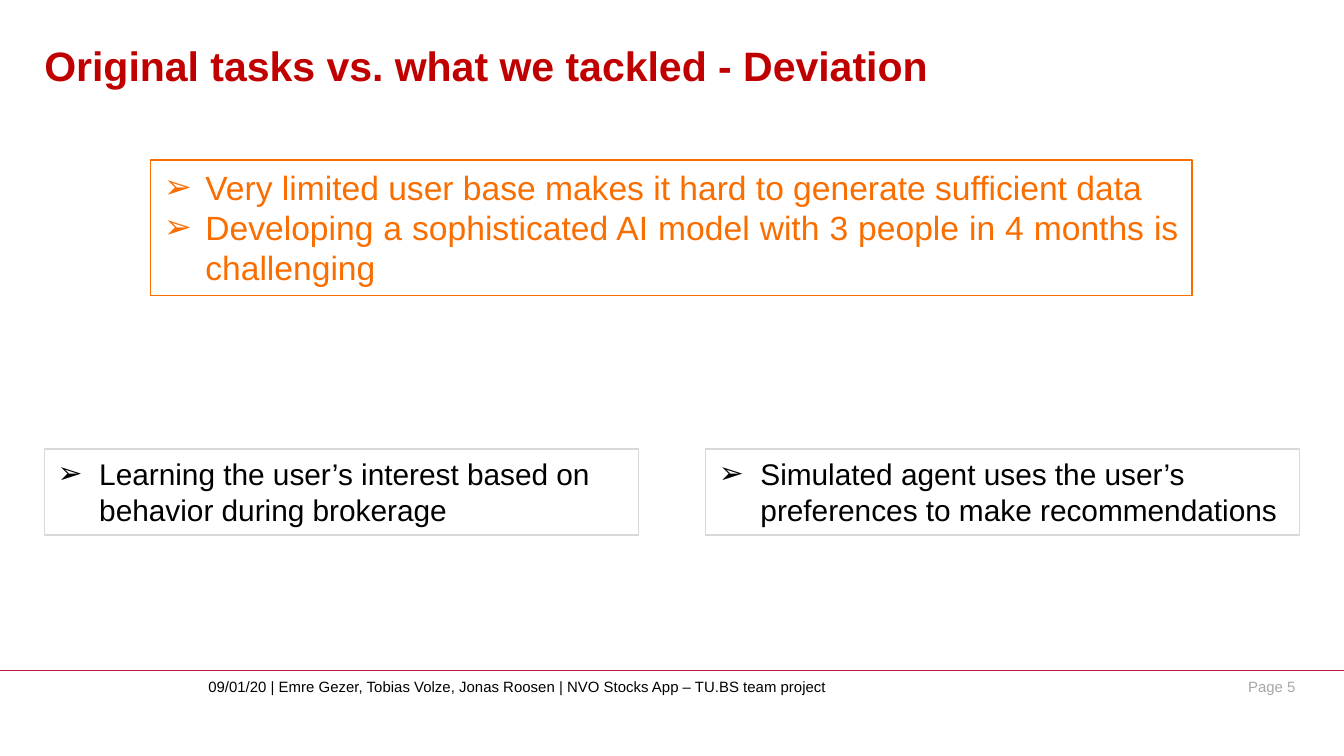
from dataclasses import dataclass

import pptx
import pptx.enum.shapes
import pptx.slide
import pptx.text.text
from lxml import etree
from pptx.dml.color import RGBColor
from pptx.enum.text import MSO_ANCHOR, PP_ALIGN
from pptx.oxml.ns import qn
from pptx.util import Inches, Pt

FONT = "Arial"
BLACK = RGBColor(0x00, 0x00, 0x00)
RED = RGBColor(0xC0, 0x00, 0x00)
CRIMSON = RGBColor(0xBE, 0x1E, 0x3C)
ORANGE = RGBColor(0xFA, 0x6E, 0x00)
GRAY = RGBColor(0xA6, 0xA6, 0xA6)
LIGHT_GRAY = RGBColor(0xD9, 0xD9, 0xD9)

SLIDE_WIDTH = Inches(10)
SLIDE_HEIGHT = SLIDE_WIDTH * 9 // 16
INDENT = Inches(0.31)


@dataclass
class Label:
    text: str
    left: float
    top: float
    width: float
    height: float
    size: float
    color: RGBColor
    bold: bool = False
    align: PP_ALIGN = PP_ALIGN.LEFT
    anchor: MSO_ANCHOR = MSO_ANCHOR.TOP


@dataclass
class BulletBox:
    items: list[str]
    left: float
    top: float
    width: float
    height: float
    size: float
    color: RGBColor
    border: RGBColor
    align: PP_ALIGN = PP_ALIGN.LEFT


LABELS = [
    Label("09/01/20 | Emre Gezer, Tobias Volze, Jonas Roosen | "
          "NVO Stocks App – TU.BS team project",
          1.55, 5.04, 4.87, 0.27, 8, BLACK),
    Label("Page 5", 8.94, 5.04, 0.7, 0.27, 8, GRAY, align=PP_ALIGN.RIGHT),
    Label("Original tasks vs. what we tackled - Deviation",
          0.33, 0.09, 9.16, 0.58, 22, RED, bold=True, anchor=MSO_ANCHOR.BOTTOM),
]

BOXES = [
    BulletBox(["Very limited user base makes it hard to generate sufficient data",
               "Developing a sophisticated AI model with 3 people in 4 months is challenging"],
              1.12, 1.19, 7.75, 1.01, 18, ORANGE, ORANGE, PP_ALIGN.JUSTIFY),
    BulletBox(["Learning the user’s interest based on behavior during brokerage"],
              0.33, 3.34, 4.42, 0.64, 16, BLACK, LIGHT_GRAY),
    BulletBox(["Simulated agent uses the user’s preferences to make recommendations"],
              5.25, 3.34, 4.42, 0.64, 16, BLACK, LIGHT_GRAY),
]


def style_font(font: pptx.text.text.Font, size: float, color: RGBColor,
               bold: bool = False) -> None:
    font.name = FONT
    font.size = Pt(size)
    font.bold = bold
    font.color.rgb = color


def add_label(s: pptx.slide.Slide, label: Label) -> None:
    sp = s.shapes.add_textbox(Inches(label.left), Inches(label.top),
                              Inches(label.width), Inches(label.height))
    tf = sp.text_frame
    tf.word_wrap = True
    tf.margin_left = tf.margin_right = tf.margin_top = tf.margin_bottom = 0
    tf.vertical_anchor = label.anchor
    tf.text = label.text
    p = tf.paragraphs[0]
    p.alignment = label.align
    style_font(p.runs[0].font, label.size, label.color, label.bold)


def add_bullet(p: pptx.text.text._Paragraph) -> None:
    """Give the paragraph a hanging arrowhead bullet."""
    pPr = p._p.get_or_add_pPr()
    pPr.set("marL", str(INDENT))
    pPr.set("indent", str(-INDENT))
    etree.SubElement(pPr, qn("a:buFont"), typeface=FONT)
    etree.SubElement(pPr, qn("a:buChar"), char="➢")


def add_bullet_box(s: pptx.slide.Slide, box: BulletBox) -> None:
    sp = s.shapes.add_shape(pptx.enum.shapes.MSO_SHAPE.RECTANGLE,
                            Inches(box.left), Inches(box.top),
                            Inches(box.width), Inches(box.height))
    sp.shadow.inherit = False
    sp.fill.background()
    sp.line.color.rgb = box.border
    sp.line.width = Pt(0.75)
    tf = sp.text_frame
    tf.word_wrap = True
    tf.vertical_anchor = MSO_ANCHOR.TOP
    tf.text = "\n".join(box.items)
    for p in tf.paragraphs:
        add_bullet(p)
        p.alignment = box.align
        style_font(p.runs[0].font, box.size, box.color)


def add_footer_rule(s: pptx.slide.Slide, y: float) -> None:
    line = s.shapes.add_connector(pptx.enum.shapes.MSO_CONNECTOR.STRAIGHT,
                                  0, Inches(y), SLIDE_WIDTH, Inches(y))
    line.line.color.rgb = CRIMSON
    line.line.width = Pt(0.75)
    etree.SubElement(line._element.spPr, qn("a:effectLst"))


def main() -> None:
    prs = pptx.Presentation()
    prs.slide_width = SLIDE_WIDTH
    prs.slide_height = SLIDE_HEIGHT
    s = prs.slides.add_slide(prs.slide_layouts[6])
    add_footer_rule(s, 4.99)
    for label in LABELS:
        add_label(s, label)
    for box in BOXES:
        add_bullet_box(s, box)
    prs.save("out.pptx")


if __name__ == "__main__":
    main()
